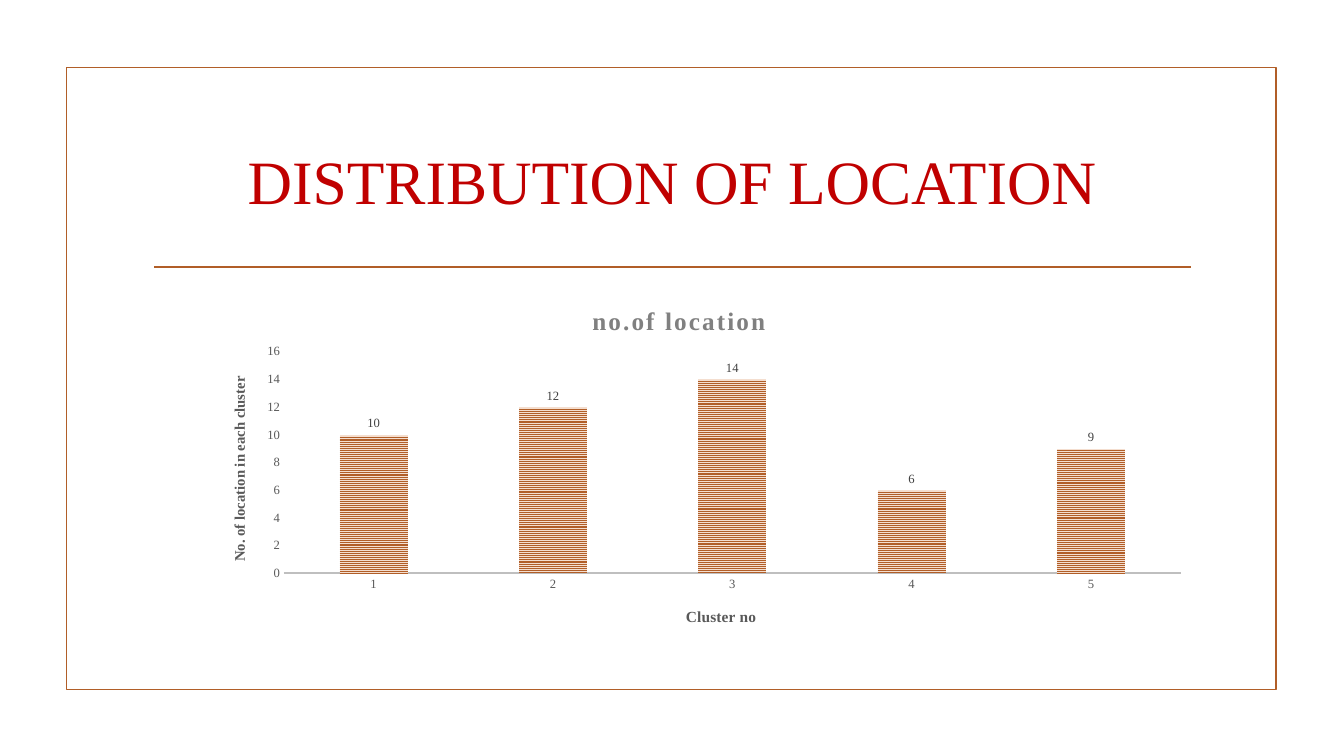
from dataclasses import dataclass

from lxml.etree import SubElement
from pptx import Presentation
from pptx.chart.data import CategoryChartData
from pptx.dml.color import RGBColor
from pptx.enum.chart import XL_CHART_TYPE, XL_LABEL_POSITION, XL_TICK_MARK
from pptx.enum.dml import MSO_PATTERN
from pptx.enum.shapes import MSO_CONNECTOR, MSO_SHAPE
from pptx.enum.text import MSO_ANCHOR, PP_ALIGN
from pptx.oxml import parse_xml
from pptx.oxml.ns import nsdecls, qn
from pptx.util import Emu, Pt

HEADING = "DISTRIBUTION OF LOCATION"
SERIES_NAME = "no.of location"
CLUSTER_TITLE = "Cluster no"
COUNT_TITLE = "No. of location in each cluster"
LOCATIONS = {"1": 10, "2": 12, "3": 14, "4": 6, "5": 9}

SLIDE_SIZE = (1333, 750)
FRAME = (66, 67, 1200, 617)
RULE = (153, 265, 1181, 265)
HEADING_BOX = (142, 107, 1050, 143)
CHART_BOX = (142, 280, 1050, 363)
PLOT = {"x": 0.133, "y": 0.19, "w": 0.847, "h": 0.606}
CHART_TITLE_AT = {"x": 0.42, "y": 0.05}
CLUSTER_TITLE_AT = {"x": 0.51, "y": 0.88}
COUNT_TITLE_AT = {"x": 0.08, "y": 0.25}


@dataclass(frozen=True)
class Theme:
    font: str = "Times New Roman"
    accent: str = "B15E28"
    stripe: str = "F4DECF"
    heading: str = "C00000"
    chart_title: str = "808080"
    axis_text: str = "595959"
    axis_line: str = "BFBFBF"
    label: str = "404040"
    heading_size: float = 44
    chart_title_size: float = 18
    cluster_size: float = 11
    count_size: float = 10.5
    tick_size: float = 9
    line_width: float = 1.25
    axis_width: float = 1.5


THEME = Theme()


def px(*lengths):
    return [Emu(length * 9144) for length in lengths]


def color(code):
    return RGBColor.from_string(code)


def style_font(font, size, code, bold=False):
    font.name = THEME.font
    font.size = Pt(size)
    font.bold = bold
    font.color.rgb = color(code)


def write_text(frame, text, *, size, code, bold=False, spacing=0):
    para = frame.paragraphs[0]
    para.alignment = PP_ALIGN.CENTER
    span = para.add_run()
    span.text = text
    style_font(span.font, size, code, bold)
    if spacing:
        span.font._element.set("spc", str(spacing))


def style_line(line, code, width):
    line.color.rgb = color(code)
    line.width = Pt(width)


def set_layout(element, position, index, inner=False):
    for old in element.findall(qn("c:layout")):
        element.remove(old)
    layout = parse_xml(f"<c:layout {nsdecls('c')}><c:manualLayout/></c:layout>")
    manual = layout[0]
    settings = {"layoutTarget": "inner"} if inner else {}
    settings.update({"xMode": "edge", "yMode": "edge"}, **position)
    for name, value in settings.items():
        SubElement(manual, qn(f"c:{name}")).set("val", str(value))
    element.insert(index, layout)


def add_title(title, text, position, **style):
    write_text(title.text_frame, text, **style)
    set_layout(title._element, position, 1)


def style_axis(axis):
    axis.has_major_gridlines = False
    axis.major_tick_mark = XL_TICK_MARK.NONE
    axis.minor_tick_mark = XL_TICK_MARK.NONE
    style_font(axis.tick_labels.font, THEME.tick_size, THEME.axis_text)


def add_frame(page):
    frame = page.shapes.add_shape(MSO_SHAPE.RECTANGLE, *px(*FRAME))
    frame.shadow.inherit = False
    frame.fill.background()
    style_line(frame.line, THEME.accent, THEME.line_width)
    rule = page.shapes.add_connector(MSO_CONNECTOR.STRAIGHT, *px(*RULE))
    style_line(rule.line, THEME.accent, THEME.line_width)
    SubElement(rule._element.spPr, qn("a:effectLst"))


def add_heading(page):
    box = page.shapes.add_textbox(*px(*HEADING_BOX))
    box.text_frame.word_wrap = True
    box.text_frame.vertical_anchor = MSO_ANCHOR.MIDDLE
    write_text(box.text_frame, HEADING, size=THEME.heading_size, code=THEME.heading)


def add_location_chart(page):
    data = CategoryChartData()
    data.categories = list(LOCATIONS)
    data.add_series(SERIES_NAME, list(LOCATIONS.values()))
    chart = page.shapes.add_chart(
        XL_CHART_TYPE.COLUMN_CLUSTERED, *px(*CHART_BOX), data
    ).chart
    chart.has_legend = False
    style_font(chart.font, 10, "000000")
    add_title(chart.chart_title, SERIES_NAME, CHART_TITLE_AT,
              size=THEME.chart_title_size, code=THEME.chart_title, bold=True, spacing=150)

    clusters, counts = chart.category_axis, chart.value_axis
    for axis in (clusters, counts):
        style_axis(axis)
    style_line(clusters.format.line, THEME.axis_line, THEME.axis_width)
    counts.format.line.fill.background()
    counts.minimum_scale, counts.maximum_scale, counts.major_unit = 0, 16, 2
    add_title(clusters.axis_title, CLUSTER_TITLE, CLUSTER_TITLE_AT,
              size=THEME.cluster_size, code=THEME.axis_text, bold=True)
    add_title(counts.axis_title, COUNT_TITLE, COUNT_TITLE_AT,
              size=THEME.count_size, code=THEME.axis_text, bold=True)
    turned = counts.axis_title.text_frame._txBody.bodyPr
    turned.set("rot", "-5400000")
    turned.set("vert", "horz")

    plot = chart.plots[0]
    plot.gap_width, plot.overlap = 164, -22
    plot.vary_by_categories = False
    bars = plot.series[0].format.fill
    bars.patterned()
    bars.pattern = MSO_PATTERN.NARROW_HORIZONTAL
    bars.fore_color.rgb = color(THEME.accent)
    bars.back_color.rgb = color(THEME.stripe)
    plot.has_data_labels = True
    labels = plot.data_labels
    labels.show_value = True
    labels.position = XL_LABEL_POSITION.OUTSIDE_END
    style_font(labels.font, THEME.tick_size, THEME.label)
    set_layout(chart._chartSpace.chart.plotArea, PLOT, 0, inner=True)


def main():
    deck = Presentation()
    deck.slide_width, deck.slide_height = px(*SLIDE_SIZE)
    page = deck.slides.add_slide(deck.slide_layouts[6])
    add_frame(page)
    add_heading(page)
    add_location_chart(page)
    deck.save("out.pptx")


if __name__ == "__main__":
    main()
